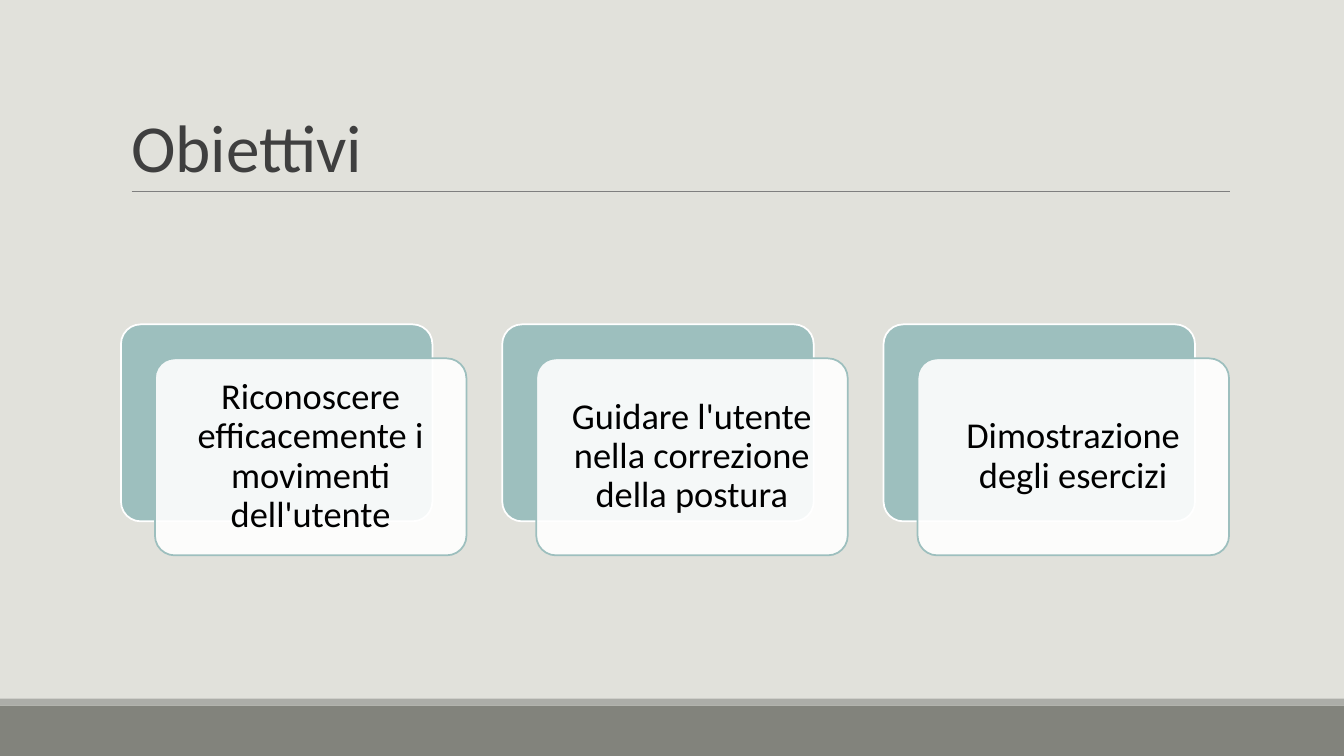
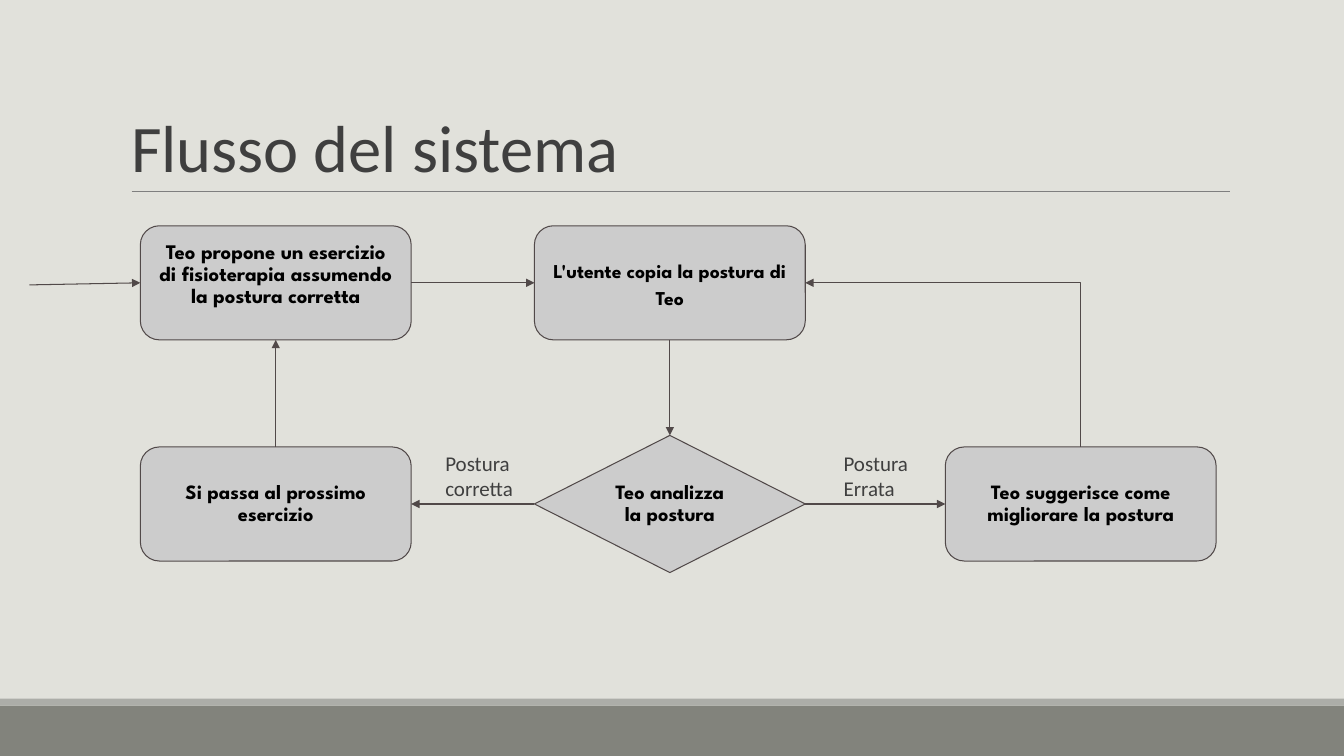
from lxml.etree import SubElement
from pptx import Presentation
from pptx.dml.color import RGBColor
from pptx.enum.shapes import MSO_CONNECTOR, MSO_SHAPE
from pptx.enum.text import MSO_ANCHOR, MSO_AUTO_SIZE, PP_ALIGN
from pptx.oxml.ns import qn
from pptx.util import Pt

COLORS = {
    "background": "E1E1DB",
    "footer": "82837C",
    "footer_edge": "ACADA8",
    "rule": "7F7F7F",
    "text": "3F3F3F",
    "black": "000000",
    "white": "FFFFFF",
    "teal": "9DBFBE",
    "node": "CCCCCC",
    "outline": "514949",
}
BODY_FONT = "Calibri"
NODE_FONT = "League Spartan"
SLIDE_WIDTH, SLIDE_HEIGHT = 960, 540
TOP, LEFT, BOTTOM, RIGHT = range(4)


def color(name):
    return RGBColor.from_string(COLORS[name])


def add_box(slide, kind, box, fill, line=None, line_width=0.75):
    shape = slide.shapes.add_shape(kind, *map(Pt, box))
    shape.shadow.inherit = False
    shape.fill.solid()
    shape.fill.fore_color.rgb = color(fill)
    if line:
        shape.line.color.rgb = color(line)
        shape.line.width = Pt(line_width)
    else:
        shape.line.fill.background()
    return shape


def write(shape, text, size, font=BODY_FONT, ink="text", bold=False, inset=7.2,
          align=PP_ALIGN.CENTER, anchor=MSO_ANCHOR.MIDDLE, spacing=0.9, before=0):
    frame = shape.text_frame
    frame.text = text
    frame.word_wrap = True
    frame.vertical_anchor = anchor
    frame.margin_left = frame.margin_right = Pt(inset)
    frame.margin_top = frame.margin_bottom = Pt(inset)
    paragraph = frame.paragraphs[0]
    paragraph.alignment = align
    paragraph.line_spacing = spacing
    paragraph.space_before = Pt(before)
    run_font = paragraph.runs[0].font
    run_font.name = font
    run_font.size = Pt(size)
    run_font.bold = bold
    run_font.color.rgb = color(ink)


def add_line(slide, start, end, ink, arrow=False, kind=MSO_CONNECTOR.STRAIGHT):
    connector = slide.shapes.add_connector(kind, *map(Pt, start + end))
    connector.line.color.rgb = color(ink)
    connector.line.width = Pt(0.75)
    if arrow:
        SubElement(connector.line._get_or_add_ln(), qn("a:tailEnd"), type="triangle")
    SubElement(connector._element.spPr, qn("a:effectLst"))
    return connector


def join(slide, source, source_side, target, target_side, kind=MSO_CONNECTOR.STRAIGHT):
    connector = add_line(slide, (0, 0), (0, 0), "outline", True, kind)
    connector.begin_connect(source, source_side)
    connector.end_connect(target, target_side)
    return connector


def join_with_corner(slide, source, target):
    connector = join(slide, source, TOP, target, RIGHT, MSO_CONNECTOR.ELBOW)
    start_x, start_y = connector.begin_x, connector.begin_y
    end_x, end_y = connector.end_x, connector.end_y
    width, height = start_y - end_y, start_x - end_x
    properties = connector._element.spPr
    properties.find(qn("a:prstGeom")).set("prst", "bentConnector2")
    transform = properties.find(qn("a:xfrm"))
    transform.attrib.clear()
    transform.set("rot", "16200000" if start_x < end_x else "5400000")
    transform.set("flipH", "1")
    connector.left = (start_x + end_x - width) // 2
    connector.top = (start_y + end_y - height) // 2
    connector.width, connector.height = width, height


def add_titled_slide(presentation, title_text, title_size):
    slide = presentation.slides.add_slide(presentation.slide_layouts[5])
    slide.background.fill.solid()
    slide.background.fill.fore_color.rgb = color("background")
    add_box(slide, MSO_SHAPE.RECTANGLE, (0, 504, SLIDE_WIDTH, 36), "footer")
    add_box(slide, MSO_SHAPE.RECTANGLE, (0, 499, SLIDE_WIDTH, 5), "footer_edge")
    add_line(slide, (94, 136.5), (878.5, 136.5), "rule")
    title = slide.shapes.title
    title.left, title.top, title.width, title.height = map(Pt, (86.4, 22.5, 792, 114.3))
    write(title, title_text, title_size, align=PP_ALIGN.LEFT,
          anchor=MSO_ANCHOR.BOTTOM, spacing=0.85)
    title.text_frame.margin_top = title.text_frame.margin_bottom = Pt(3.6)
    return slide


def add_goal_cards(slide, box, goals):
    left, top, width, height = box
    shift = 24.3
    card_width, card_height = 222.5, height - shift
    pitch = (width - shift - card_width) / (len(goals) - 1)
    for index, goal in enumerate(goals):
        card_left = left + index * pitch
        back = add_box(slide, MSO_SHAPE.ROUNDED_RECTANGLE,
                       (card_left, top, card_width, card_height), "teal", "white", 1.25)
        front = add_box(slide, MSO_SHAPE.ROUNDED_RECTANGLE,
                        (card_left + shift, top + shift, card_width, card_height),
                        "white", "teal", 1.25)
        back.adjustments[0] = front.adjustments[0] = 0.1
        fill_color = front._element.spPr.find(qn("a:solidFill"))[0]
        SubElement(fill_color, qn("a:alpha"), val="90000")
        write(front, goal, 26, ink="black", inset=7.8)


def add_node(slide, center, text, size=14.5, kind=MSO_SHAPE.FLOWCHART_ALTERNATE_PROCESS,
             height=81.5, **style):
    width = 193.5
    box = (center[0] - width / 2, center[1] - height / 2, width, height)
    node = add_box(slide, kind, box, "node", "outline")
    write(node, text, size, NODE_FONT, "black", True, **style)
    return node


def add_branch_label(slide, box, text):
    label = slide.shapes.add_textbox(*map(Pt, box))
    write(label, text, 15, align=PP_ALIGN.LEFT, anchor=MSO_ANCHOR.TOP, spacing=1)
    label.text_frame.auto_size = MSO_AUTO_SIZE.SHAPE_TO_FIT_TEXT


def add_flowchart(slide, box):
    left, top, width, height = box
    first, second, third = left + 97, left + 378.5, left + width - 97
    upper, lower = top + 41, top + height - 49
    propose = add_node(slide, (first, upper),
                       "Teo propone un esercizio di fisioterapia assumendo la postura corretta",
                       14.8, anchor=MSO_ANCHOR.TOP)
    imitate = add_node(slide, (second, upper), "L'utente copia la postura di Teo",
                       14, spacing=1.15, before=10)
    analyse = add_node(slide, (second, lower), "Teo analizza la postura",
                       kind=MSO_SHAPE.FLOWCHART_DECISION, height=98)
    suggest = add_node(slide, (third, lower), "Teo suggerisce come migliorare la postura")
    proceed = add_node(slide, (first, lower), "Si passa al prossimo esercizio")
    for source, source_side, target, target_side in (
        (propose, RIGHT, imitate, LEFT),
        (imitate, BOTTOM, analyse, TOP),
        (analyse, LEFT, proceed, RIGHT),
        (proceed, TOP, propose, BOTTOM),
        (analyse, RIGHT, suggest, LEFT),
    ):
        join(slide, source, source_side, target, target_side)
    join_with_corner(slide, suggest, imitate)
    add_branch_label(slide, (left + 211, lower - 45.5, 70.5, 51), "Postura corretta")
    add_branch_label(slide, (left + 495.5, lower - 45.5, 80, 51), "Postura Errata")
    entry = add_line(slide, (left - 79, upper + 1.5), (left, upper), "outline", True)
    entry.end_connect(propose, LEFT)


def main():
    presentation = Presentation()
    presentation.slide_width = Pt(SLIDE_WIDTH)
    presentation.slide_height = Pt(SLIDE_HEIGHT)

    goals_slide = add_titled_slide(presentation, "Obiettivi", 48)
    add_goal_cards(goals_slide, (86.4, 231.7, 791.5, 165), (
        "Riconoscere efficacemente i movimenti dell'utente",
        "Guidare l'utente nella correzione della postura",
        "Dimostrazione degli esercizi",
    ))

    flow_slide = add_titled_slide(presentation, "Flusso del sistema", 47.5)
    add_flowchart(flow_slide, (100, 161, 769, 248))

    presentation.save("out.pptx")


if __name__ == "__main__":
    main()
